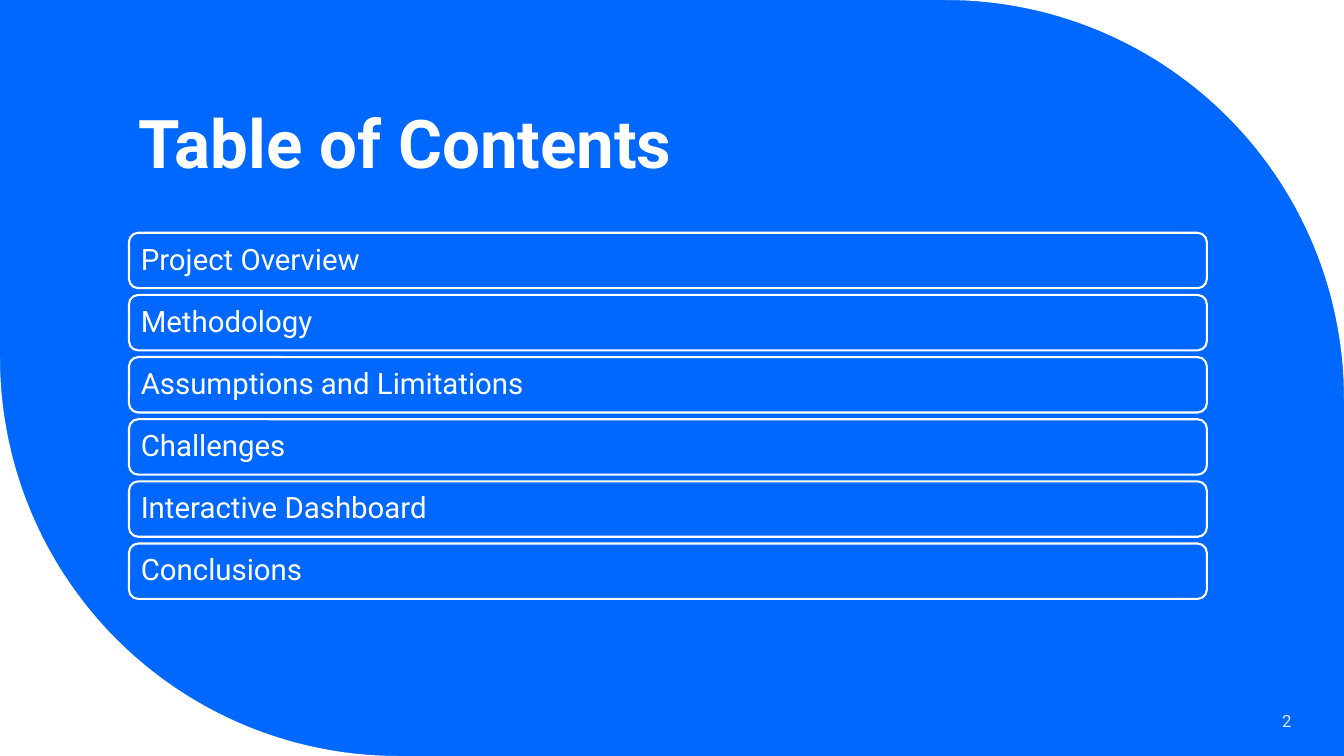
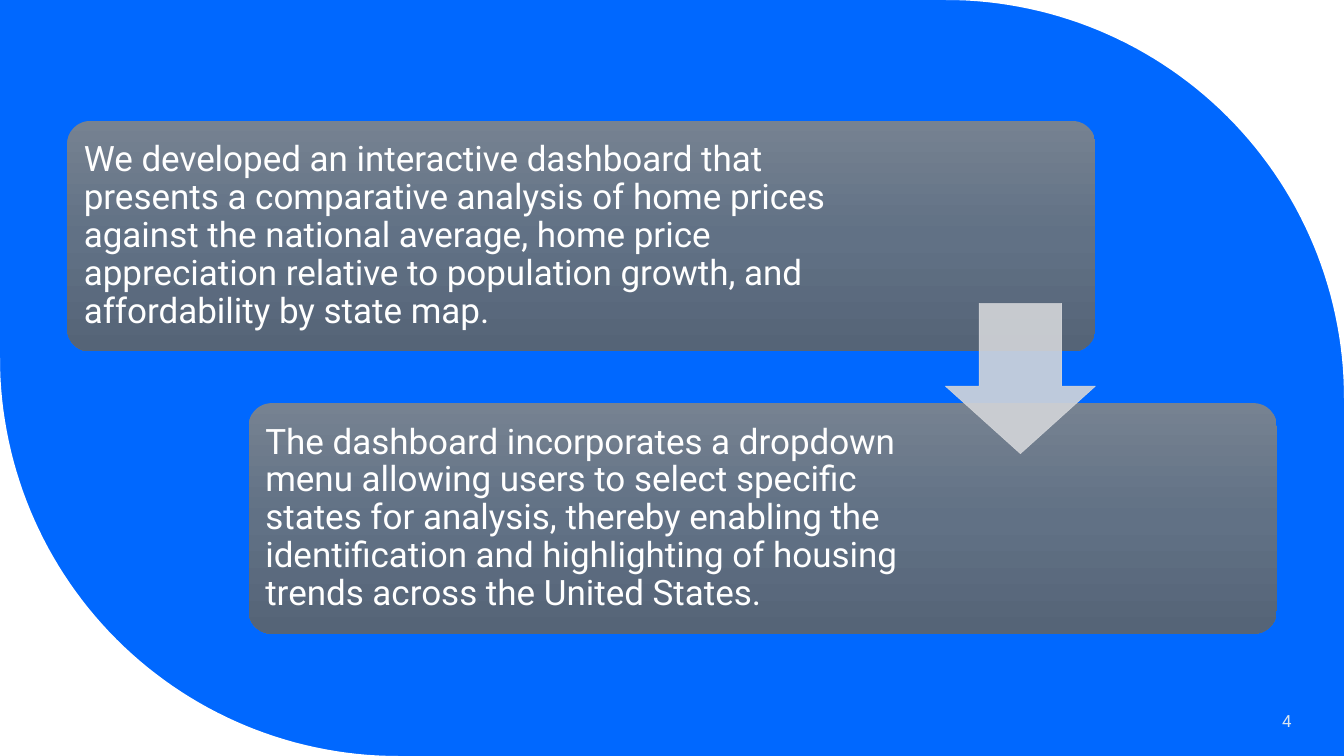
from copy import deepcopy
from dataclasses import dataclass
from math import cos, pi, sin

from lxml import etree
from pptx import Presentation
from pptx import util as u
from pptx.dml.color import RGBColor
from pptx.enum import shapes, text
from pptx.oxml.ns import qn

# Shared style
FONT = "Roboto"
BLUE, WHITE, PALE, SILVER = "0068FF", "FFFFFF", "DAE5EF", "D3D5D9"
PANEL_GRADIENT = ("768291", "617185", "556477")
WIDTH, HEIGHT = u.Inches(13.333), u.Inches(7.5)


@dataclass(frozen=True)
class Box:
    """Left, top, width and height in percent of the slide's size."""
    left: float
    top: float
    width: float
    height: float

    def place(self) -> tuple[int, int, int, int]:
        return (int(self.left * WIDTH / 100), int(self.top * HEIGHT / 100),
                int(self.width * WIDTH / 100), int(self.height * HEIGHT / 100))


@dataclass(frozen=True)
class TextStyle:
    size: float
    color: str = WHITE
    bold: bool = False
    align: text.PP_ALIGN = text.PP_ALIGN.LEFT
    anchor: text.MSO_ANCHOR = text.MSO_ANCHOR.MIDDLE
    spacing: float = 0.9


@dataclass(frozen=True)
class Panel:
    wording: str
    right_inset: float


TITLE = TextStyle(48, bold=True, anchor=text.MSO_ANCHOR.BOTTOM)
NUMBER = TextStyle(12, PALE, align=text.PP_ALIGN.RIGHT, spacing=1)
ENTRY = TextStyle(21)
BODY = TextStyle(25)

TITLE_BOX = Box(9.6, 5.6, 80.2, 19.33)
NUMBER_BOX = Box(83.25, 92.67, 13.58, 5.33)
FIRST_ROW, ROW_PITCH = Box(9.6, 30.8, 80.2, 7.33), 8.22
FIRST_PANEL, PANEL_SHIFT, PANEL_PITCH = Box(5, 16, 76.5, 30.5), 13.5, 37.33
ARROW_BOX = Box(70.35, 40.13, 11.15, 19.87)

CONTENTS = ("Project Overview", "Methodology", "Assumptions and Limitations",
            "Challenges", "Interactive Dashboard", "Conclusions")
PANELS = (
    Panel("We developed an interactive dashboard that presents a comparative "
          "analysis of home prices against the national average, home price "
          "appreciation relative to population growth, and affordability by "
          "state map.", 2.34),
    Panel("The dashboard incorporates a dropdown menu allowing users to select "
          "specific states for analysis, thereby enabling the identification "
          "and highlighting of housing trends across the United States.", 3.39),
)


def rgb(color: str) -> RGBColor:
    return RGBColor.from_string(color)


def paint(fill, color: str) -> None:
    fill.solid()
    fill.fore_color.rgb = rgb(color)


def write(shape, wording: str, style: TextStyle, inset: float = 0.1,
          right_inset: float = 0.1) -> None:
    frame = shape.text_frame
    frame.word_wrap = True
    frame.vertical_anchor = style.anchor
    frame.margin_left, frame.margin_right = u.Inches(inset), u.Inches(right_inset)
    paragraph = frame.paragraphs[0]
    paragraph.text = wording
    paragraph.alignment = style.align
    paragraph.line_spacing = style.spacing
    font = paragraph.font
    font.name, font.size, font.bold = FONT, u.Pt(style.size), style.bold
    font.color.rgb = rgb(style.color)


def add_text(slide, box: Box, wording: str, style: TextStyle) -> None:
    write(slide.shapes.add_textbox(*box.place()), wording, style)


def add_preset(slide, kind: shapes.MSO_SHAPE, box: Box, *adjustments: float):
    shape = slide.shapes.add_shape(kind, *box.place())
    shape.shadow.inherit = False
    for index, value in enumerate(adjustments):
        shape.adjustments[index] = value
    return shape


def add_corner(slide, mirrored: bool, steps: int = 60) -> None:
    """White outside of a quarter circle, top right or bottom left."""
    radius = u.Inches(3.95)
    angles = [pi / 2 * step / steps for step in range(steps + 1)]
    points = [(WIDTH, 0)] + [(WIDTH - radius + radius * sin(angle),
                              radius - radius * cos(angle)) for angle in angles]
    if mirrored:
        points = [(WIDTH - x, HEIGHT - y) for x, y in points]
    builder = slide.shapes.build_freeform(*map(round, points[0]))
    builder.add_line_segments([(round(x), round(y)) for x, y in points[1:]])
    corner = builder.convert_to_shape()
    corner.shadow.inherit = False
    paint(corner.fill, WHITE)
    corner.line.fill.background()


def add_base(presentation, number: int):
    slide = presentation.slides.add_slide(presentation.slide_layouts[6])
    paint(slide.background.fill, BLUE)
    for mirrored in (False, True):
        add_corner(slide, mirrored)
    add_text(slide, NUMBER_BOX, str(number), NUMBER)
    return slide


def add_row(slide, index: int, wording: str) -> None:
    box = Box(FIRST_ROW.left, FIRST_ROW.top + index * ROW_PITCH,
              FIRST_ROW.width, FIRST_ROW.height)
    row = add_preset(slide, shapes.MSO_SHAPE.ROUNDED_RECTANGLE, box)
    paint(row.fill, BLUE)
    row.line.color.rgb = rgb(WHITE)
    row.line.width = u.Pt(1.5)
    write(row, wording, ENTRY, inset=0.09)


def shade(shape, colors: tuple[str, ...]) -> None:
    """Evenly spaced gradient from top to bottom."""
    shape.fill.gradient()
    shape.fill.gradient_angle = 270
    stop_list = next(shape._element.iter(qn("a:gsLst")))
    stop_list.insert(1, deepcopy(stop_list[0]))
    for index, (stop, color) in enumerate(zip(shape.fill.gradient_stops, colors)):
        stop.position = index / (len(colors) - 1)
        stop.color.rgb = rgb(color)


def add_panel(slide, index: int, panel: Panel) -> None:
    box = Box(FIRST_PANEL.left + index * PANEL_SHIFT,
              FIRST_PANEL.top + index * PANEL_PITCH,
              FIRST_PANEL.width, FIRST_PANEL.height)
    shape = add_preset(slide, shapes.MSO_SHAPE.ROUNDED_RECTANGLE, box, 0.1)
    shade(shape, PANEL_GRADIENT)
    shape.line.fill.background()
    write(shape, panel.wording, BODY, right_inset=panel.right_inset)


def add_arrow(slide) -> None:
    arrow = add_preset(slide, shapes.MSO_SHAPE.DOWN_ARROW, ARROW_BOX, 0.55, 0.45)
    paint(arrow.fill, SILVER)
    paint(arrow.line.fill, SILVER)
    arrow.line.width = u.Pt(0.5)
    # Ten percent transparency on fill and outline
    for color in arrow._element.spPr.iter(qn("a:srgbClr")):
        etree.SubElement(color, qn("a:alpha")).set("val", "90000")


def main() -> None:
    presentation = Presentation()
    presentation.slide_width, presentation.slide_height = WIDTH, HEIGHT

    # Table of contents
    slide = add_base(presentation, 2)
    add_text(slide, TITLE_BOX, "Table of Contents", TITLE)
    for index, wording in enumerate(CONTENTS):
        add_row(slide, index, wording)

    # Dashboard description
    slide = add_base(presentation, 4)
    for index, panel in enumerate(PANELS):
        add_panel(slide, index, panel)
    add_arrow(slide)

    presentation.save("out.pptx")


if __name__ == "__main__":
    main()
